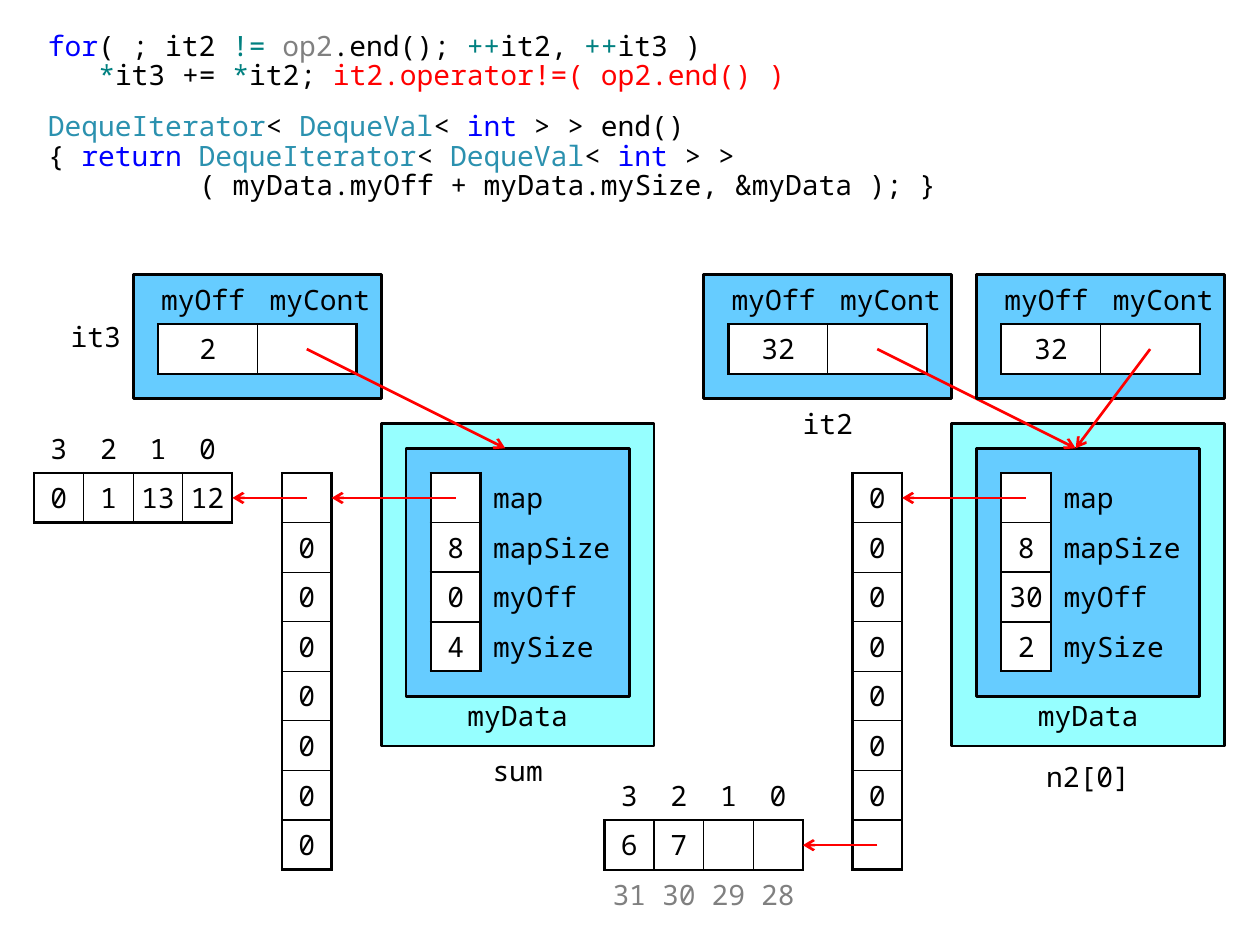
from pptx import Presentation
from pptx.dml.color import RGBColor
from pptx.enum.shapes import MSO_CONNECTOR, MSO_SHAPE
from pptx.enum.text import MSO_ANCHOR, MSO_AUTO_SIZE, PP_ALIGN
from pptx.oxml.ns import qn
from pptx.util import Inches, Pt
from lxml import etree

LEFT, CENTER, RIGHT = PP_ALIGN.LEFT, PP_ALIGN.CENTER, PP_ALIGN.RIGHT
TOP, MIDDLE, BOTTOM = MSO_ANCHOR.TOP, MSO_ANCHOR.MIDDLE, MSO_ANCHOR.BOTTOM
PROCESS, STRAIGHT = MSO_SHAPE.FLOWCHART_PROCESS, MSO_CONNECTOR.STRAIGHT

FONT = "Noto Sans Mono"
BLACK, WHITE, RED, GRAY = "000000", "FFFFFF", "FF0000", "808080"
KEYWORD, OPERATOR, TYPE = "0000FF", "008080", "2B91AF"
CYAN, BLUE = "96FFFF", "66CCFF"
NO_GRID_STYLE = "{2D5ABB26-0587-4C30-8999-92F81FD0307C}"

# The diagram lies on a grid of 1 cm cells
CELL = 1 / 2.54
GRID_LEFT, GRID_TOP = 0.27, 2.18

# Code lines: indent in inches, space before in points, coloured spans
ITERATOR_TYPE = [("DequeIterator", TYPE), ("< ", BLACK), ("DequeVal", TYPE),
                 ("< ", BLACK), ("int", KEYWORD)]
CODE = [
    (0, 0, [("for", KEYWORD), ("( ; it2 ", BLACK), ("!= ", OPERATOR), ("op2", GRAY),
            (".end(); ", BLACK), ("++", OPERATOR), ("it2, ", BLACK),
            ("++", OPERATOR), ("it3 )", BLACK)]),
    (0.4, 0, [("*", OPERATOR), ("it3 += ", BLACK), ("*", OPERATOR), ("it2; ", BLACK),
              ("it2.operator!=( op2.end() )", RED)]),
    (0, 12, ITERATOR_TYPE + [(" > > end()", BLACK)]),
    (0, 0, [("{ ", BLACK), ("return ", KEYWORD)] + ITERATOR_TYPE + [(" > >", BLACK)]),
    (1.2, 0, [("( myData.myOff + myData.mySize, &myData ); }", BLACK)]),
]


def rgb(color):
    return RGBColor.from_string(color)


def grid_x(col):
    return Inches(GRID_LEFT + col * CELL)


def grid_y(row):
    return Inches(GRID_TOP + row * CELL)


def grid_box(col, row, width, height):
    return grid_x(col), grid_y(row), Inches(width * CELL), Inches(height * CELL)


def set_font(font, color=BLACK):
    font.name, font.size = FONT, Pt(16)
    font.color.rgb = rgb(color)


def add_code(page):
    page.shapes.title.element.getparent().remove(page.shapes.title.element)
    body = page.placeholders[1]
    body.left, body.top, body.width, body.height = map(Inches, (0.28, 0.21, 7.28, 1.57))
    frame = body.text_frame
    frame.word_wrap, frame.auto_size = True, MSO_AUTO_SIZE.NONE
    frame.vertical_anchor = TOP
    for number, (indent, space, spans) in enumerate(CODE):
        para = frame.add_paragraph() if number else frame.paragraphs[0]
        para.alignment, para.line_spacing = LEFT, 0.88
        para.space_before, para.space_after = Pt(space), Pt(0)
        properties = para._p.get_or_add_pPr()
        properties.set("marL", str(Inches(indent)))
        properties.set("indent", "0")
        etree.SubElement(properties, qn("a:buNone"))
        for text, color in spans:
            span = para.add_run()
            span.text = text
            set_font(span.font, color)


def add_panel(page, color, *place):
    panel = page.shapes.add_shape(PROCESS, *grid_box(*place))
    panel.shadow.inherit = False
    panel.fill.solid()
    panel.fill.fore_color.rgb = rgb(color)
    panel.line.color.rgb = rgb(BLACK)
    panel.line.width = Pt(1.5)


def add_label(page, text, *place, align=CENTER, anchor=MIDDLE):
    frame = page.shapes.add_textbox(*grid_box(*place)).text_frame
    frame.word_wrap = True
    frame.vertical_anchor = anchor
    frame.margin_left = Inches(0.1 if align == LEFT else 0)
    frame.margin_right = Inches(0.1 if align == RIGHT else 0)
    frame.margin_top = frame.margin_bottom = Inches(0.02)
    para = frame.paragraphs[0]
    para.text, para.alignment = text, align
    set_font(para.font)


def add_arrow(page, start, end):
    arrow = page.shapes.add_connector(STRAIGHT, grid_x(start[0]), grid_y(start[1]),
                                      grid_x(end[0]), grid_y(end[1]))
    arrow.line.color.rgb = rgb(RED)
    arrow.line.width = Pt(1.5)
    etree.SubElement(arrow.line._get_or_add_ln(), qn("a:tailEnd"), type="arrow")
    etree.SubElement(arrow._element.spPr, qn("a:effectLst"))


def set_border(cell, side, width):
    line = etree.SubElement(cell._tc.get_or_add_tcPr(), qn("a:ln" + side), w=str(Pt(width)))
    fill = etree.SubElement(line, qn("a:solidFill"))
    etree.SubElement(fill, qn("a:srgbClr"), val=BLACK)


def add_cells(page, col, row, widths, rows, framed_rows, framed_cols, inner=0.75):
    """Add a table whose framed rows and columns (first, last) have borders."""
    table = page.shapes.add_table(len(rows), len(widths),
                                  *grid_box(col, row, sum(widths), len(rows))).table
    table.first_row = table.horz_banding = False
    table._tbl.tblPr.find(qn("a:tableStyleId")).text = NO_GRID_STYLE
    for column, width in zip(table.columns, widths):
        column.width = Inches(width * CELL)
    (top, bottom), (left, right) = framed_rows, framed_cols
    for r, texts in enumerate(rows):
        table.rows[r].height = Inches(CELL)
        for c, text in enumerate(texts):
            cell = table.cell(r, c)
            framed = top <= r <= bottom and left <= c <= right
            if framed:
                for side, outer in (("L", c == left), ("R", c == right),
                                    ("T", r == top), ("B", r == bottom)):
                    set_border(cell, side, 1.5 if outer else inner)
                cell.fill.solid()
                cell.fill.fore_color.rgb = rgb(WHITE)
            else:
                cell.fill.background()
            beside = c > right
            cell.margin_left = cell.margin_right = Inches(0.1 if beside else 0.04)
            cell.margin_top = cell.margin_bottom = Inches(0.04)
            cell.vertical_anchor = MIDDLE
            para = cell.text_frame.paragraphs[0]
            para.text, para.alignment = text, LEFT if beside else CENTER
            set_font(para.font, GRAY if r > bottom else BLACK)


def add_iterator(page, col, offset):
    add_panel(page, BLUE, col, 0, 5, 2.5)
    add_cells(page, col + 0.5, 1, [2, 2], [[offset, ""]], (0, 0), (0, 1))
    add_label(page, "myOff", col, 0, 2.5, 1, align=RIGHT)
    add_label(page, "myCont", col + 2.5, 0, 2.5, 1, align=LEFT)


def add_deque(page, col, name, name_anchor, values, block_map):
    # Map of blocks, then the object with its members
    add_cells(page, col, 4, [1], [[text] for text in block_map], (0, 7), (0, 0))
    add_panel(page, CYAN, col + 2, 3, 5.5, 6.5)
    add_panel(page, BLUE, col + 2.5, 3.5, 4.5, 5)
    members = zip(values, ["map", "mapSize", "myOff", "mySize"])
    add_cells(page, col + 3, 4, [1, 3], list(members), (0, 3), (0, 0), inner=1)
    add_label(page, "myData", col + 3.5, 8.5, 2.5, 1, anchor=TOP)
    add_label(page, name, col + 2, 9.5, 5.5, 1, anchor=name_anchor)
    add_arrow(page, (col + 3.5, 4.5), (col + 1, 4.5))


def add_block(page, col, row, *rows):
    add_cells(page, col, row, [1] * 4, [["3", "2", "1", "0"], *rows], (1, 1), (0, 3))
    add_arrow(page, (col + 5.5, row + 1.5), (col + 4, row + 1.5))


def main():
    deck = Presentation()
    deck.slide_width, deck.slide_height = Inches(10), Inches(7.5)
    page = deck.slides.add_slide(deck.slide_layouts[1])
    add_code(page)

    # Deques and their allocated blocks
    add_deque(page, 5, "sum", MIDDLE, ["", "8", "0", "4"], [""] + ["0"] * 7)
    add_deque(page, 16.5, "n2[0]", BOTTOM, ["", "8", "30", "2"], ["0"] * 7 + [""])
    add_block(page, 0, 3, ["0", "1", "13", "12"])
    add_block(page, 11.5, 10, ["6", "7", "", ""], ["31", "30", "29", "28"])

    # Iterators, each pointing at the data of its deque
    for col, offset, target in ((2, "2", 9.5), (13.5, "32", 21), (19, "32", 21)):
        add_iterator(page, col, offset)
        add_arrow(page, (col + 3.5, 1.5), (target, 3.5))
    add_label(page, "it3", 0.5, 0.5, 1.5, 1.5, align=RIGHT)
    add_label(page, "it2", 15, 2.5, 2, 1)
    deck.save("out.pptx")


if __name__ == "__main__":
    main()
